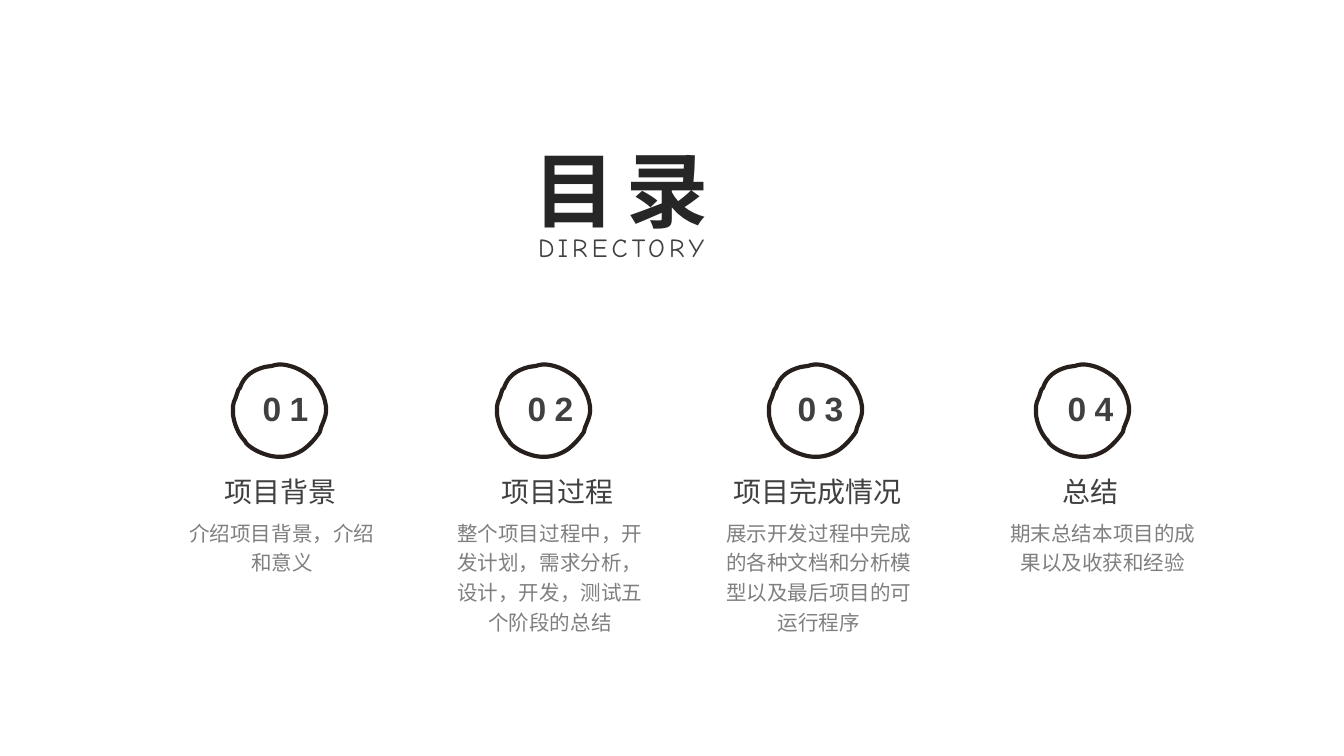
from dataclasses import dataclass

from lxml import etree
from pptx import Presentation
from pptx.dml.color import RGBColor
from pptx.enum.text import MSO_AUTO_SIZE, PP_ALIGN
from pptx.oxml.ns import qn
from pptx.util import Pt

PX = 914400 / 134.4
LEFT, CENTER = PP_ALIGN.LEFT, PP_ALIGN.CENTER
GROW = MSO_AUTO_SIZE.SHAPE_TO_FIT_TEXT

BLACK = RGBColor(0x26, 0x26, 0x26)
INK = RGBColor(0x26, 0x1F, 0x1C)
DARK = RGBColor(0x40, 0x40, 0x40)
GRAY = RGBColor(0x7F, 0x7F, 0x7F)

ARIAL, COMIC, NOTO = "Arial", "Comic Neue", "Noto Sans CJK SC"

RING_START = (0, 47)
RING_CURVES = [
    [(0, 44), (0, 42), (1, 39)],
    [(3, 35), (4, 31), (5, 28)],
    [(5, 27), (6, 26), (7, 25)],
    [(11, 13), (20, 7), (32, 4)],
    [(35, 3), (36, 3), (39, 3)],
    [(47, 0), (55, 2), (63, 5)],
    [(70, 8), (76, 12), (81, 17)],
    [(82, 20), (85, 22), (86, 24)],
    [(90, 31), (92, 36), (93, 43)],
    [(94, 50), (92, 55), (90, 60)],
    [(89, 63), (87, 66), (87, 69)],
    [(83, 75), (77, 82), (70, 87)],
    [(59, 94), (48, 95), (38, 93)],
    [(30, 91), (22, 88), (15, 82)],
    [(13, 81), (13, 79), (12, 78)],
    [(5, 71), (1, 60), (0, 51)],
    [(0, 50), (0, 48), (0, 47)],
]


@dataclass
class Chapter:
    """One entry of the directory, with the left edge of each part."""
    number: str
    heading: str
    summary: str
    ring_x: int
    number_x: int
    heading_x: int
    summary_x: int
    summary_height: int


CHAPTERS = [
    Chapter("01", "项目背景", "介绍项目背景，介绍和意义",
            233, 243, 101, 171, 70),
    Chapter("02", "项目过程", "整个项目过程中，开发计划，需求分析，设计，开发，测试五个阶段的总结",
            497, 508, 378, 439, 129),
    Chapter("03", "项目完成情况", "展示开发过程中完成的各种文档和分析模型以及最后项目的可运行程序",
            769, 778, 638, 708, 129),
    Chapter("04", "总结", "期末总结本项目的成果以及收获和经验",
            1036, 1048, 911, 992, 70),
]


def px(length):
    """Turn px into EMU."""
    return round(length * PX)


def add_text(page, bounds, text, size, font, color, bold=False,
             spacing=0, line_spacing=None, align=CENTER, wrap=True):
    """Add a text box with one paragraph."""
    box = page.shapes.add_textbox(*map(px, bounds))
    frame = box.text_frame
    frame.margin_left = frame.margin_right = px(10)
    frame.margin_top = frame.margin_bottom = px(5)
    frame.word_wrap = wrap
    frame.auto_size = GROW
    para = frame.paragraphs[0]
    para.text = text
    para.alignment = align
    if line_spacing:
        para.line_spacing = line_spacing
    para.font.size = Pt(size)
    para.font.name = font
    para.font.bold = bold
    para.font.color.rgb = color
    props = para.font._rPr
    etree.SubElement(props, qn("a:ea")).set("typeface", font)
    if spacing:
        props.set("spc", str(round(spacing * 100)))


def add_ring(page, left, top):
    """Add a hand-drawn ring made of Bezier curves."""
    builder = page.shapes.build_freeform(*RING_START, scale=PX)
    builder.add_line_segments([point for curve in RING_CURVES for point in curve])
    ring = builder.convert_to_shape(px(left), px(top))
    lines = list(ring._element.iter(qn("a:lnTo")))
    for start in range(0, len(lines), 3):
        curve = etree.Element(qn("a:cubicBezTo"))
        lines[start].addprevious(curve)
        for line in lines[start:start + 3]:
            curve.append(line[0])
            line.getparent().remove(line)
    ring.shadow.inherit = False
    ring.fill.background()
    ring.line.color.rgb = INK
    ring.line.width = Pt(2.25)


def add_chapter(page, chapter):
    """Add the ring, number, heading and summary of a chapter."""
    add_ring(page, chapter.ring_x, 363)
    add_text(page, (chapter.number_x, 383, 85, 51), chapter.number,
             18, ARIAL, DARK, bold=True, spacing=4.5)
    add_text(page, (chapter.heading_x, 470, 360, 44), chapter.heading,
             15, NOTO, DARK)
    add_text(page, (chapter.summary_x, 511, 222, chapter.summary_height),
             chapter.summary, 11, NOTO, GRAY, line_spacing=1.2)


def main():
    """Build the directory slide."""
    deck = Presentation()
    deck.slide_width, deck.slide_height = px(1344), px(756)
    page = deck.slides.add_slide(deck.slide_layouts[6])
    add_text(page, (528, 226, 212, 42), "DIRECTORY", 14, COMIC, DARK,
             spacing=2.2, align=LEFT, wrap=False)
    add_text(page, (513, 134, 216, 110), "目录", 44, ARIAL, BLACK,
             bold=True, spacing=6)
    for chapter in CHAPTERS:
        add_chapter(page, chapter)
    deck.save("out.pptx")


if __name__ == "__main__":
    main()
